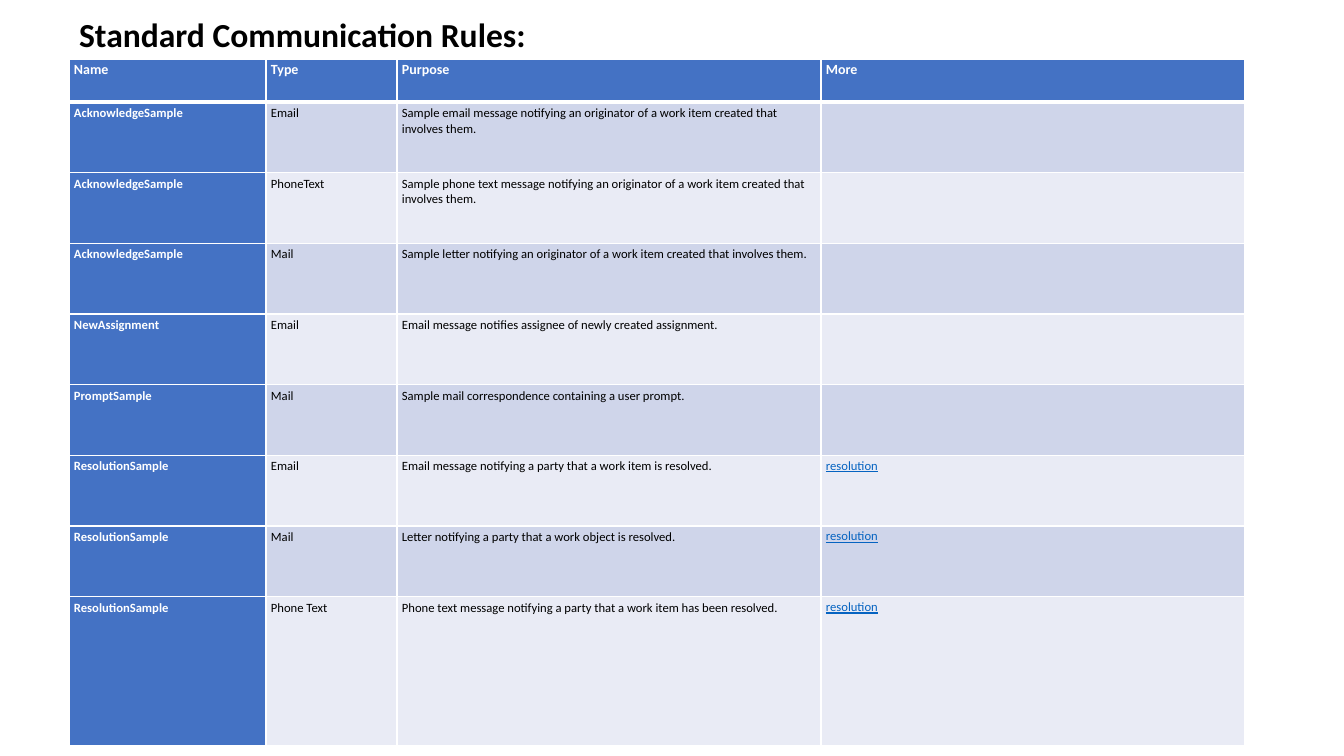
from dataclasses import dataclass

from lxml.etree import SubElement
from pptx import Presentation
from pptx.dml.color import RGBColor
from pptx.enum.text import MSO_ANCHOR as Anchor, MSO_AUTO_SIZE as AutoSize, PP_ALIGN as Align
from pptx.oxml.ns import qn
from pptx.table import _Cell as Cell
from pptx.text.text import TextFrame
from pptx.util import Emu, Pt

PX_PER_INCH = 100.8
FONT = "Calibri"
BLUE, WHITE, BLACK, LINK = "4472C4", "FFFFFF", "000000", "0563C1"
BANDS = ("CFD5EA", "E9EBF5")
TABLE_LEFT, TABLE_TOP = 69, 59
COLUMN_WIDTHS = (197, 131, 424, 424)
HEADER_HEIGHT, EVEN_ROWS_HEIGHT, LAST_HEIGHT = 43, 495, 149
HEADINGS = ("Name", "Type", "Purpose", "More")


@dataclass(frozen=True)
class Rule:
    name: str
    kind: str
    purpose: str
    more: str = ""


RULES = (
    Rule("AcknowledgeSample", "Email",
         "Sample email message notifying an originator of a work item created that involves them."),
    Rule("AcknowledgeSample", "PhoneText",
         "Sample phone text message notifying an originator of a work item created that involves them."),
    Rule("AcknowledgeSample", "Mail",
         "Sample letter notifying an originator of a work item created that involves them."),
    Rule("NewAssignment", "Email",
         "Email message notifies assignee of newly created assignment."),
    Rule("PromptSample", "Mail",
         "Sample mail correspondence containing a user prompt."),
    Rule("ResolutionSample", "Email",
         "Email message notifying a party that a work item is resolved.", "resolution"),
    Rule("ResolutionSample", "Mail",
         "Letter notifying a party that a work object is resolved.", "resolution"),
    Rule("ResolutionSample", "Phone Text",
         "Phone text message notifying a party that a work item has been resolved.", "resolution"),
)


def px(length: int) -> Emu:
    return Emu(round(length * 914400 / PX_PER_INCH))


def rgb(colour: str) -> RGBColor:
    return RGBColor.from_string(colour)


def write(frame: TextFrame, text: str, *, size: float, colour: str = BLACK,
          bold: bool = False, underline: bool = False, spacing: float | None = None) -> None:
    para = frame.paragraphs[0]
    para.alignment = Align.LEFT
    if spacing:
        para.line_spacing = Pt(spacing)
    span = para.add_run()
    span.text = text
    font = span.font
    font.name, font.size, font.bold, font.underline = FONT, Pt(size), bold, underline
    font.color.rgb = rgb(colour)


def style_cell(cell: Cell, fill: str, top: int = 1, bottom: int = 1) -> None:
    cell.margin_left = cell.margin_right = cell.margin_bottom = px(5)
    cell.margin_top = px(3)
    properties = cell._tc.get_or_add_tcPr()
    for side, width in (("L", 1), ("R", 1), ("T", top), ("B", bottom)):
        line = SubElement(properties, qn(f"a:ln{side}"), w=str(Pt(width)))
        SubElement(SubElement(line, qn("a:solidFill")), qn("a:srgbClr"), val=WHITE)
    cell.fill.solid()
    cell.fill.fore_color.rgb = rgb(fill)


def main() -> None:
    deck = Presentation()
    deck.slide_width, deck.slide_height = px(1344), px(756)
    page = deck.slides.add_slide(deck.slide_layouts[5])

    title = page.shapes.title
    title.left, title.top, title.width, title.height = px(69), px(9), px(681), px(50)
    frame = title.text_frame
    frame.word_wrap = True
    frame.auto_size = AutoSize.SHAPE_TO_FIT_TEXT
    frame.vertical_anchor = Anchor.TOP
    write(frame, "Standard Communication Rules:", size=24, bold=True)

    table_height = HEADER_HEIGHT + EVEN_ROWS_HEIGHT + LAST_HEIGHT
    table = page.shapes.add_table(
        len(RULES) + 1, len(HEADINGS), px(TABLE_LEFT), px(TABLE_TOP),
        px(sum(COLUMN_WIDTHS)), px(table_height)).table
    for column, width in zip(table.columns, COLUMN_WIDTHS):
        column.width = px(width)
    even_count = len(RULES) - 1
    even_height = Emu(px(EVEN_ROWS_HEIGHT) // even_count)
    heights = [px(HEADER_HEIGHT)] + [even_height] * even_count + [px(LAST_HEIGHT)]
    for row, height in zip(table.rows, heights):
        row.height = height

    for cell, heading in zip(table.rows[0].cells, HEADINGS):
        style_cell(cell, BLUE, bottom=3)
        write(cell.text_frame, heading, size=10, colour=WHITE, bold=True, spacing=11.3)

    for index, rule in enumerate(RULES):
        name, kind, purpose, more = table.rows[index + 1].cells
        for cell in (name, kind, purpose, more):
            fill = BLUE if cell is name else BANDS[index % 2]
            style_cell(cell, fill, top=3 if index == 0 else 1)
        write(name.text_frame, rule.name, size=9, colour=WHITE, bold=True, spacing=11.3)
        write(kind.text_frame, rule.kind, size=9, spacing=11.3)
        write(purpose.text_frame, rule.purpose, size=9, spacing=11.3)
        if rule.more:
            write(more.text_frame, rule.more, size=9, colour=LINK, underline=True)

    deck.save("out.pptx")


if __name__ == "__main__":
    main()
